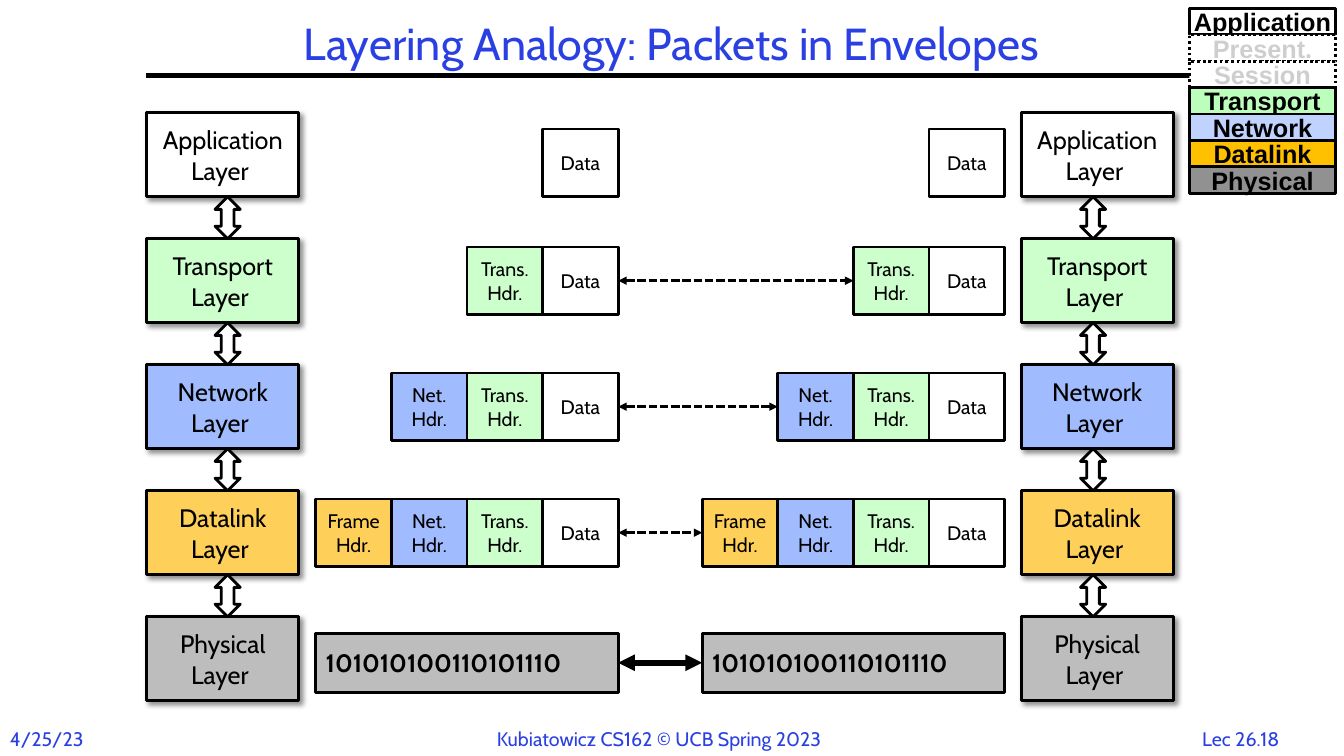
"""Build the slide on protocol layering as packets in envelopes."""
from dataclasses import dataclass

from lxml import etree
from pptx import Presentation
from pptx.dml.color import RGBColor
from pptx.enum.dml import MSO_LINE
from pptx.enum.shapes import MSO_CONNECTOR, MSO_SHAPE
from pptx.enum.text import MSO_ANCHOR, PP_ALIGN
from pptx.oxml.ns import qn
from pptx.util import Pt

RECT = MSO_SHAPE.RECTANGLE
UP_DOWN = MSO_SHAPE.UP_DOWN_ARROW
STRAIGHT = MSO_CONNECTOR.STRAIGHT
LEFT, CENTER = PP_ALIGN.LEFT, PP_ALIGN.CENTER
TOP, MIDDLE = MSO_ANCHOR.TOP, MSO_ANCHOR.MIDDLE
DASH, DOT = MSO_LINE.SQUARE_DOT, MSO_LINE.ROUND_DOT

FONT = "Cabin"
BLACK, WHITE, BLUE, PALE = "000000", "FFFFFF", "2A40E2", "CECECE"
GREEN, SKY, GOLD, GRAY = "CCFFCC", "A0BCFE", "FECF59", "BDBDBD"

LAYER_TOP, LAYER_W, LAYER_H, PITCH = 80.6, 108.6, 60, 90
CELL_W, CELL_H = 54, 48.2
ARROW_W = 18
BITS_TOP, BITS_H = 452.4, 42
LEGEND_X, LEGEND_TOP, LEGEND_W, LEGEND_H = 849.6, 6, 104.4, 18.85


@dataclass(frozen=True)
class Style:
    size: float
    color: str = BLACK
    bold: bool = False
    font: str = FONT
    align: PP_ALIGN = CENTER
    anchor: MSO_ANCHOR = MIDDLE
    wrap: bool = True
    side_inset: float = 7.2
    spacing: float | None = None


@dataclass(frozen=True)
class Layer:
    name: str
    fill: str
    cell_top: float
    cells: tuple


@dataclass(frozen=True)
class Host:
    layer_x: float
    arrow_x: float
    packet_x: float


@dataclass(frozen=True)
class Cell:
    text: str
    fill: str
    side_inset: float = 7.2


@dataclass(frozen=True)
class Legend:
    text: str
    fill: str
    color: str = BLACK
    dash: MSO_LINE | None = None


@dataclass(frozen=True)
class Label:
    text: str
    x: float
    y: float
    w: float
    h: float
    style: Style


FRAME = Cell("Frame\nHdr.", GOLD, 0)
NET = Cell("Net.\nHdr.", SKY)
TRANS = Cell("Trans.\nHdr.", GREEN)
DATA = Cell("Data", WHITE)
LAYERS = (
    Layer("Application", WHITE, 92.2, (DATA,)),
    Layer("Transport", GREEN, 176.4, (TRANS, DATA)),
    Layer("Network", SKY, 266.4, (NET, TRANS, DATA)),
    Layer("Datalink", GOLD, 356.4, (FRAME, NET, TRANS, DATA)),
    Layer("Physical", GRAY, BITS_TOP, ()),
)
HOSTS = (Host(104.8, 153.6, 225.6), Host(729.4, 771.8, 501.6))
PACKET_W = 4 * CELL_W
LEGENDS = (
    Legend("Application", WHITE),
    Legend("Present.", WHITE, PALE, DOT),
    Legend("Session", WHITE, PALE, DOT),
    Legend("Transport", "BCFFBC"),
    Legend("Network", "C0D2FE"),
    Legend("Datalink", "FFC000"),
    Legend("Physical", "919191"),
)
FOOTER = Style(14, BLUE, align=LEFT, anchor=TOP, wrap=False)
LABELS = (
    Label("Layering Analogy: Packets in Envelopes", 104, 12.2, 751.7, 41.8,
          Style(32, BLUE, spacing=0.9)),
    Label("4/25/23", 0, 515.5, 80, 24.5, FOOTER),
    Label("Kubiatowicz CS162 © UCB Spring 2023", 347.8, 515.5, 265, 24.5, FOOTER),
    Label("Lec 26.18", 847.4, 515.5, 77.8, 24.5,
          Style(14, BLUE, anchor=TOP, wrap=False)),
)


def rgb(color: str) -> RGBColor:
    return RGBColor.from_string(color)


def write(sp, text: str, style: Style) -> None:
    tf = sp.text_frame
    tf.text = text
    tf.word_wrap = style.wrap
    tf.vertical_anchor = style.anchor
    tf.margin_left = tf.margin_right = Pt(style.side_inset)
    tf.margin_top = tf.margin_bottom = Pt(3.6)
    for p in tf.paragraphs:
        p.alignment = style.align
        p.line_spacing = style.spacing
        for r in p.runs:
            r.font.size = Pt(style.size)
            r.font.name = style.font
            r.font.bold = style.bold
            r.font.color.rgb = rgb(style.color)


def add_box(slide, x: float, y: float, w: float, h: float, fill: str, kind=RECT):
    sp = slide.shapes.add_shape(kind, Pt(x), Pt(y), Pt(w), Pt(h))
    sp.shadow.inherit = False
    sp.fill.solid()
    sp.fill.fore_color.rgb = rgb(fill)
    sp.line.color.rgb = rgb(BLACK)
    sp.line.width = Pt(2)
    return sp


def add_shadow(sp) -> None:
    effects = sp._element.spPr.find(qn("a:effectLst"))
    shadow = etree.SubElement(effects, qn("a:outerShdw"), blurRad=str(Pt(4)),
                              dist=str(Pt(3)), dir="2700000", rotWithShape="0")
    color = etree.SubElement(shadow, qn("a:srgbClr"), val=BLACK)
    etree.SubElement(color, qn("a:alpha"), val="43000")


def add_line(slide, x1: float, x2: float, y: float, width: float,
             arrows: bool = False, dash: MSO_LINE | None = None) -> None:
    cn = slide.shapes.add_connector(STRAIGHT, Pt(x1), Pt(y), Pt(x2), Pt(y))
    cn.line.color.rgb = rgb(BLACK)
    cn.line.width = Pt(width)
    if dash:
        cn.line.dash_style = dash
    if arrows:
        ln = cn.line._get_or_add_ln()
        for end in ("a:headEnd", "a:tailEnd"):
            etree.SubElement(ln, qn(end), type="triangle")
    etree.SubElement(cn._element.spPr, qn("a:effectLst"))


def add_host(slide, host: Host) -> None:
    for i, layer in enumerate(LAYERS):
        y = LAYER_TOP + i * PITCH
        sp = add_box(slide, host.layer_x, y, LAYER_W, LAYER_H, layer.fill)
        add_shadow(sp)
        write(sp, f"{layer.name} Layer ", Style(18))
        if i:
            gap = PITCH - LAYER_H
            add_box(slide, host.arrow_x, y - gap, ARROW_W, gap, WHITE, UP_DOWN)
        first = 4 - len(layer.cells)
        for k, cell in enumerate(layer.cells, first):
            sp = add_box(slide, host.packet_x + k * CELL_W, layer.cell_top,
                         CELL_W, CELL_H, cell.fill)
            write(sp, cell.text, Style(14, side_inset=cell.side_inset))
    bits = add_box(slide, host.packet_x, BITS_TOP, PACKET_W, BITS_H, GRAY)
    write(bits, "101010100110101110", Style(18, bold=True, align=LEFT))


def main() -> None:
    prs = Presentation()
    prs.slide_width, prs.slide_height = Pt(960), Pt(540)
    slide = prs.slides.add_slide(prs.slide_layouts[6])
    add_line(slide, 104, 856, 54, 3)
    for label in LABELS:
        sp = slide.shapes.add_textbox(Pt(label.x), Pt(label.y), Pt(label.w), Pt(label.h))
        write(sp, label.text, label.style)
    for host in HOSTS:
        add_host(slide, host)
    sender, receiver = HOSTS
    x1 = sender.packet_x + PACKET_W
    for layer in LAYERS[1:-1]:
        x2 = receiver.packet_x + (4 - len(layer.cells)) * CELL_W
        add_line(slide, x1, x2, layer.cell_top + CELL_H / 2, 2, True, DASH)
    add_line(slide, x1, receiver.packet_x, BITS_TOP + BITS_H / 2, 4, True)
    for i, item in enumerate(LEGENDS):
        sp = add_box(slide, LEGEND_X, LEGEND_TOP + i * LEGEND_H, LEGEND_W, LEGEND_H, item.fill)
        sp.line.dash_style = item.dash
        write(sp, item.text, Style(18, item.color, True, "Arial", wrap=False))
    prs.save("out.pptx")


if __name__ == "__main__":
    main()
